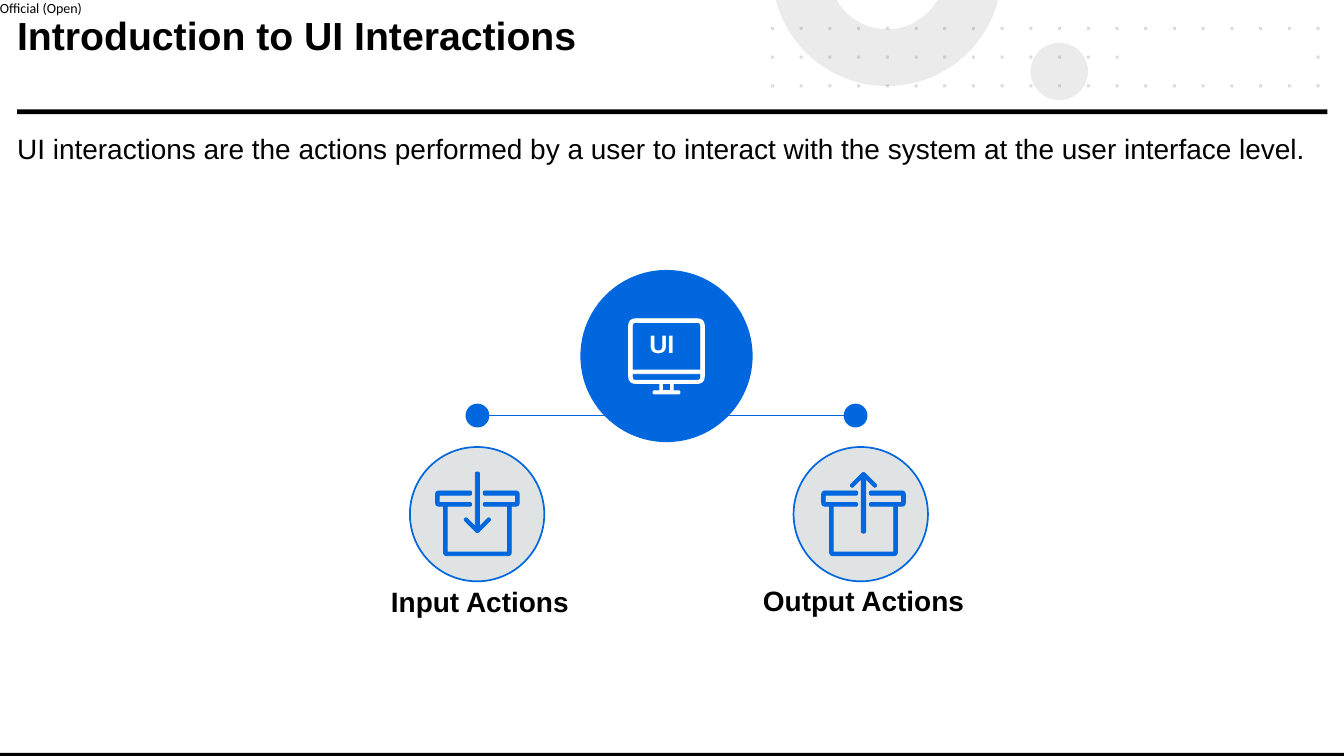
"""Build the slide that introduces UI interactions."""
from dataclasses import dataclass
from math import asin, cos, pi, sin
from typing import NamedTuple

from lxml import etree
from pptx import Presentation
from pptx import util as u
from pptx.dml.color import RGBColor
from pptx.enum import shapes, text
from pptx.oxml.ns import qn

PX = 9144


@dataclass(frozen=True)
class Theme:
    blue: str = "0067DF"
    pale: str = "DFE3E3"
    black: str = "000000"
    white: str = "FFFFFF"
    grey: str = "D9D9D9"
    slate: str = "44546A"
    font: str = "Arial"
    tag_font: str = "Calibri"
    head: float = 46.2
    body: float = 33
    icon: float = 29.7
    tag: float = 16.5


class Box(NamedTuple):
    x: int
    y: int
    w: int
    h: int


class Knot(NamedTuple):
    x: float
    y: float
    r: float = 0


class Action(NamedTuple):
    name: str
    label: Box
    dot: Box
    disc: Box
    icon: tuple[int, int]
    up: bool


T = Theme()
TAG = Box(0, 0, 140, 28)
HEAD = Box(28, 27, 1209, 149)
BODY = Box(28, 221, 2145, 116)
RULES = [Box(0, 1233, 2200, 5), Box(28, 179, 2145, 8)]
ACTS = [
    Action("Input Actions", Box(621, 953, 329, 66), Box(762, 661, 39, 39),
           Box(671, 732, 220, 220), (713, 773), False),
    Action("Output Actions", Box(1224, 951, 379, 66), Box(1381, 661, 39, 39),
           Box(1299, 732, 220, 220), (1345, 773), True),
]
SCREEN = [
    [Knot(1029, 522, 12), Knot(1153, 522, 12), Knot(1153, 628, 12),
     Knot(1102, 628), Knot(1102, 640), Knot(1113, 640, 2), Knot(1113, 645, 2),
     Knot(1069, 645, 2), Knot(1069, 640, 2), Knot(1080, 640),
     Knot(1080, 628), Knot(1029, 628, 12)],
    [Knot(1035, 528, 6), Knot(1147, 528, 6), Knot(1147, 606), Knot(1035, 606)],
    [Knot(1035, 612), Knot(1147, 612), Knot(1147, 623, 6), Knot(1035, 623, 6)],
    [Knot(1085, 628), Knot(1097, 628), Knot(1097, 640), Knot(1085, 640)],
]
CRATE = [Knot(124, 137, 6), Knot(124, 56), Knot(137, 56, 6), Knot(137, 31, 6),
         Knot(78, 31, 3), Knot(78, 38, 3), Knot(131, 38), Knot(131, 50),
         Knot(78, 50, 3), Knot(78, 56, 3), Knot(118, 56), Knot(118, 131)]
ARROW = [Knot(72, 0, 3), Knot(72, 89), Knot(87, 74, 3), Knot(91, 78, 3),
         Knot(70, 99, 1)]


def emu(box: Box) -> list[int]:
    """Turn a box into EMU."""
    return [v * PX for v in box]


def paint(shape, fill: str, line: str = "", width: float = 1, alpha: int = 0) -> None:
    """Set fill, outline and opacity of a shape."""
    shape.shadow.inherit = False
    shape.fill.solid()
    shape.fill.fore_color.rgb = RGBColor.from_string(fill)
    if alpha:
        tone = shape._element.spPr.find(".//" + qn("a:srgbClr"))
        etree.SubElement(tone, qn("a:alpha"), val=str(alpha * 1000))
    if line:
        shape.line.color.rgb = RGBColor.from_string(line)
        shape.line.width = u.Pt(width)
    else:
        shape.line.fill.background()


def preset(slide, kind, box: Box, fill: str, **look) -> None:
    """Draw a painted preset shape."""
    paint(slide.shapes.add_shape(kind, *emu(box)), fill, **look)


def curve(knots: list[Knot]) -> list[tuple[float, float]]:
    """Round the corners of a closed outline."""
    pts = []
    for i, k in enumerate(knots):
        if not k.r:
            pts.append((k.x, k.y))
            continue
        ends = []
        for n in (knots[i - 1], knots[(i + 1) % len(knots)]):
            size = ((n.x - k.x) ** 2 + (n.y - k.y) ** 2) ** 0.5
            part = min(k.r / size, 0.5)
            ends.append((k.x + (n.x - k.x) * part, k.y + (n.y - k.y) * part))
        (ax, ay), (bx, by) = ends
        for t in (0, 0.25, 0.5, 0.75, 1):
            a, m, b = (1 - t) ** 2, 2 * t * (1 - t), t * t
            pts.append((a * ax + m * k.x + b * bx, a * ay + m * k.y + b * by))
    return pts


def outline(slide, loops: list, fill: str, **look) -> None:
    """Draw closed loops of points as one freeform."""
    scaled = [[(x * PX, y * PX) for x, y in loop] for loop in loops]
    pen = slide.shapes.build_freeform(*scaled[0][0], scale=1.0)
    for i, loop in enumerate(scaled):
        if i:
            pen.move_to(*loop[0])
        pen.add_line_segments(loop[1:], close=True)
    paint(pen.convert_to_shape(), fill, **look)


def crate(slide, act: Action) -> None:
    """Draw a box with an arrow going in or out."""
    dx, dy = act.icon
    arrow = [k._replace(y=100 - k.y) for k in ARROW] if act.up else ARROW
    loops = []
    for half in (CRATE, arrow):
        full = half + [k._replace(x=137 - k.x) for k in reversed(half)]
        loops.append(curve([k._replace(x=k.x + dx, y=k.y + dy) for k in full]))
    outline(slide, loops, T.blue, line=T.blue)


def arc(r: int) -> list[tuple[float, float]]:
    """List the points of the ring edge below the slide top."""
    low = asin(47 / r)
    turns = [low + (pi - 2 * low) * i / 40 for i in range(41)]
    return [(1452 + r * cos(a), -47 + r * sin(a)) for a in turns]


def decor(slide) -> None:
    """Draw the ring, the disc, the dot grid and the rules."""
    preset(slide, shapes.MSO_SHAPE.OVAL, Box(1687, 70, 94, 94), T.grey, alpha=50)
    outline(slide, [arc(188) + arc(95)[::-1]], T.grey, alpha=50)
    for first, last in ((14, 20), (0, 6), (6, 12), (12, 14)):
        spots = [(1262 + 47 * c, 44 + 47 * r) for r in range(3)
                 for c in range(first, last) if r != 1 or c < 13 or c == 19]
        outline(slide, [[(x, y), (x + 5, y), (x + 5, y + 5), (x, y + 5)]
                        for x, y in spots], T.slate, alpha=20)
    for rule in RULES:
        preset(slide, shapes.MSO_SHAPE.RECTANGLE, rule, T.black)


def write(shape, words: str, frame: dict, para: dict, font: dict, color: str) -> None:
    """Put one formatted paragraph into a shape."""
    tf = shape.text_frame
    tf.text = words
    p = tf.paragraphs[0]
    if shape.is_placeholder:
        props = p._p.get_or_add_pPr()
        props.set("marL", "0")
        props.set("indent", "0")
        etree.SubElement(props, qn("a:buNone"))
    for part, vals in ((tf, frame), (p, para), (p.font, font)):
        for key, val in vals.items():
            setattr(part, key, val)
    p.font.color.rgb = RGBColor.from_string(color)


def main() -> None:
    """Build and save the slide."""
    deck = Presentation()
    deck.slide_width, deck.slide_height = 2200 * PX, 1238 * PX
    slide = deck.slides.add_slide(deck.slide_layouts[1])
    bare = dict.fromkeys(("margin_left", "margin_top", "margin_right", "margin_bottom"), 0)
    grow = {"auto_size": text.MSO_AUTO_SIZE.SHAPE_TO_FIT_TEXT}
    bold = {"name": T.font, "size": u.Pt(T.body), "bold": True}
    decor(slide)
    write(slide.shapes.add_textbox(*emu(TAG)), "Official (Open)",
          {**bare, **grow, "word_wrap": True}, {},
          {"name": T.tag_font, "size": u.Pt(T.tag)}, T.black)

    frame = {**bare, "word_wrap": True, "auto_size": text.MSO_AUTO_SIZE.NONE,
             "vertical_anchor": text.MSO_ANCHOR.TOP}
    para = {"alignment": text.PP_ALIGN.LEFT, "line_spacing": 0.9, "space_before": u.Pt(0)}
    holders = [
        (slide.shapes.title, HEAD, "Introduction to UI Interactions", T.head, True),
        (slide.placeholders[1], BODY, "UI interactions are the actions performed by a user "
         "to interact with the system at the user interface level.", T.body, False),
    ]
    for shape, box, words, size, strong in holders:
        shape.left, shape.top, shape.width, shape.height = emu(box)
        font = {"name": T.font, "size": u.Pt(size), "bold": strong}
        write(shape, words, frame, para, font, T.black)

    oval = shapes.MSO_SHAPE.OVAL
    preset(slide, oval, Box(950, 442, 282, 282), T.blue)
    link = slide.shapes.add_connector(
        shapes.MSO_CONNECTOR.STRAIGHT, *emu(Box(776, 680, 1407, 680)))
    link.line.color.rgb = RGBColor.from_string(T.blue)
    link.line.width = u.Pt(0.75)
    etree.SubElement(link._element.spPr, qn("a:effectLst"))
    for act in ACTS:
        preset(slide, oval, act.dot, T.blue)
        preset(slide, oval, act.disc, T.pale, line=T.blue, width=2)
        crate(slide, act)
        write(slide.shapes.add_textbox(*emu(act.label)), act.name,
              {**grow, "word_wrap": True}, {"alignment": text.PP_ALIGN.CENTER}, bold, T.black)
    outline(slide, [curve(loop) for loop in SCREEN], T.white, line=T.white)
    write(slide.shapes.add_textbox(*emu(Box(1053, 533, 62, 60))), "UI",
          {**grow, "word_wrap": False}, {}, {**bold, "size": u.Pt(T.icon)}, T.white)
    deck.save("out.pptx")


if __name__ == "__main__":
    main()
